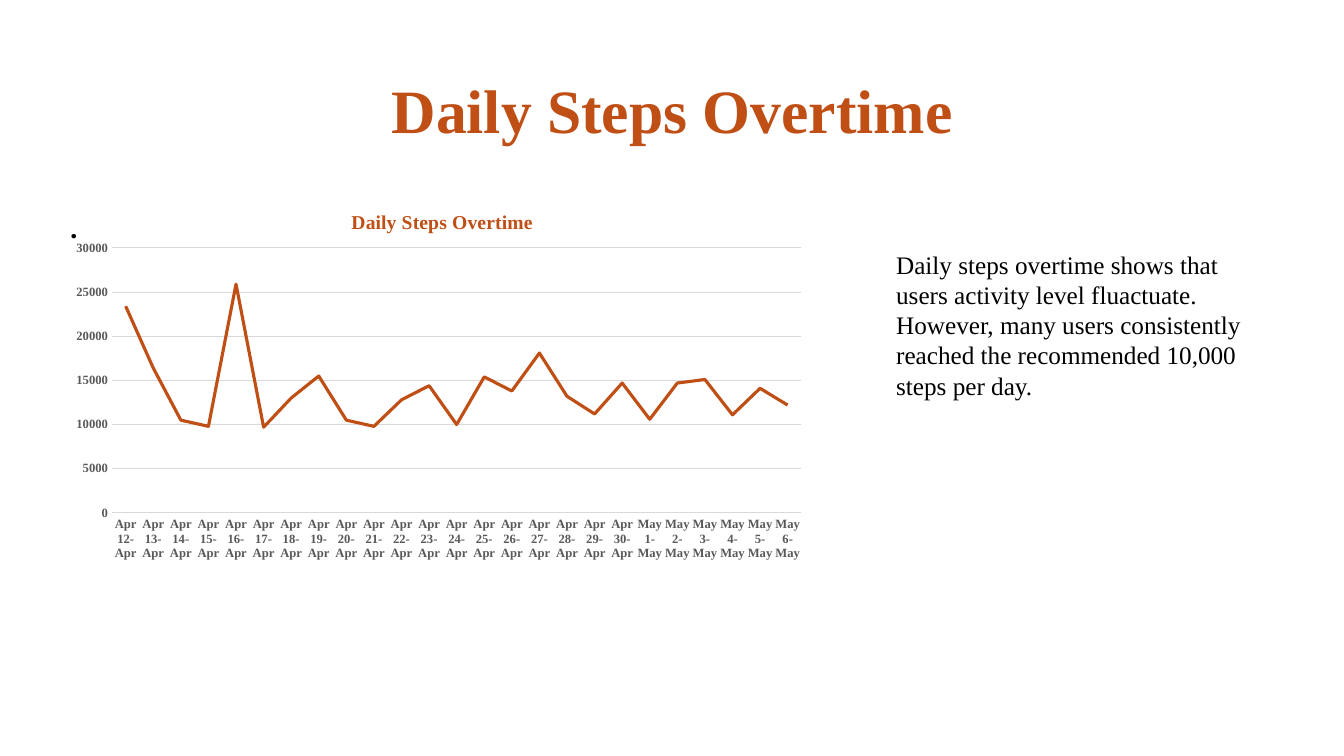
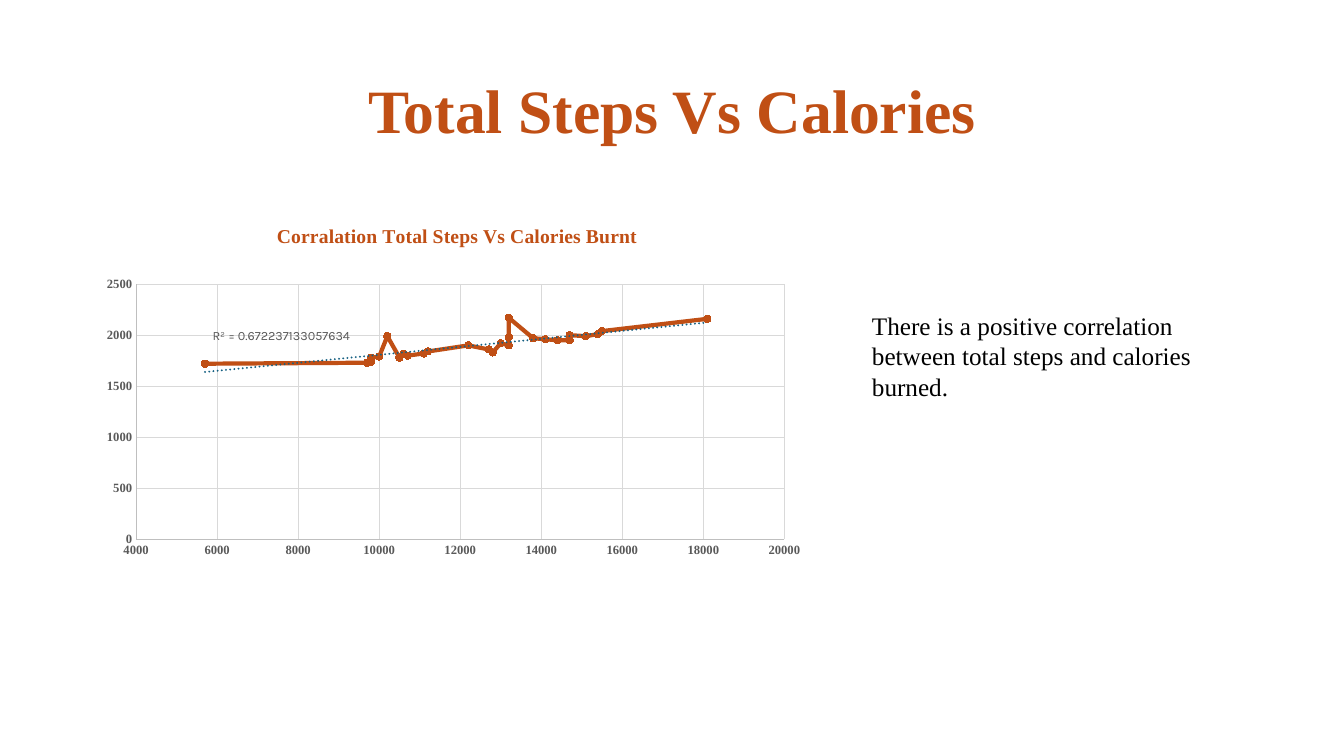
from lxml import etree
from pptx import Presentation
from pptx.chart.data import CategoryChartData, XyChartData
from pptx.dml.color import RGBColor
from pptx.enum.chart import XL_CHART_TYPE as ChartType
from pptx.enum.chart import XL_MARKER_STYLE as Marker
from pptx.enum.chart import XL_TICK_MARK as TickMark
from pptx.enum.text import MSO_ANCHOR as Anchor
from pptx.enum.text import PP_ALIGN as Align
from pptx.oxml import parse_xml
from pptx.oxml.ns import qn
from pptx.util import Inches, Pt

COLORS = {
    "accent": "C04F15",
    "trend": "156082",
    "text": "000000",
    "label": "595959",
    "grid": "D9D9D9",
    "axis": "BFBFBF",
    "paper": "FFFFFF",
}
SERIF = "Times New Roman"
SANS = "Karla"
TITLE_BOX = (0.92, 0.4, 11.5, 1.45)

DAYS = [f"Apr {day}-Apr" for day in range(12, 31)] + [f"May {day}-May" for day in range(1, 7)]
DAILY_STEPS = [
    23400, 16400, 10500, 9800, 25900, 9700, 13000, 15500, 10500, 9800, 12800, 14400, 10000,
    15400, 13800, 18100, 13200, 11200, 14700, 10600, 14700, 15100, 11100, 14100, 12200,
]
TOTAL_STEPS = [
    5700, 9700, 9800, 9800, 10000, 10200, 10500, 10500, 10600, 10700, 11100, 11200, 12200, 12700,
    12800, 13000, 13200, 13200, 13200, 13800, 14100, 14400, 14700, 14700, 15100, 15400, 15500, 18100,
]
CALORIES = [
    1720, 1730, 1740, 1780, 1790, 1990, 1780, 1790, 1820, 1800, 1820, 1840, 1900, 1860,
    1830, 1920, 1900, 1980, 2170, 1970, 1960, 1950, 1950, 2000, 1990, 2010, 2040, 2160,
]

CHART_NS = (
    'xmlns:c="http://schemas.openxmlformats.org/drawingml/2006/chart" '
    'xmlns:a="http://schemas.openxmlformats.org/drawingml/2006/main"'
)


def color(name):
    return RGBColor.from_string(COLORS[name])


def style_font(font, size, tone, bold=False, face=SERIF):
    font.name = face
    font.size = Pt(size)
    font.bold = bold
    font.color.rgb = color(tone)


def add_text(page, box, text, size, tone="text", bold=False, face=SERIF,
             align=Align.LEFT, anchor=Anchor.TOP, spacing=1.0, before=0):
    frame = page.shapes.add_textbox(*map(Inches, box)).text_frame
    frame.word_wrap = True
    frame.vertical_anchor = anchor
    para = frame.paragraphs[0]
    para.alignment = align
    para.line_spacing = spacing
    para.space_before = Pt(before)
    span = para.add_run()
    span.text = text
    style_font(span.font, size, tone, bold, face)


def add_page(deck, title):
    page = deck.slides.add_slide(deck.slide_layouts[6])
    page.background.fill.solid()
    page.background.fill.fore_color.rgb = color("paper")
    add_text(page, TITLE_BOX, title, 44, "accent", True,
             align=Align.CENTER, anchor=Anchor.MIDDLE, spacing=0.9)
    return page


def set_layout(parent, after, target, **places):
    for old in parent.findall(qn("c:layout")):
        parent.remove(old)
    layout = etree.Element(qn("c:layout"))
    manual = etree.SubElement(layout, qn("c:manualLayout"))
    if target:
        etree.SubElement(manual, qn("c:layoutTarget")).set("val", target)
    for key in ("x", "y"):
        etree.SubElement(manual, qn(f"c:{key}Mode")).set("val", "edge")
    for key, value in places.items():
        etree.SubElement(manual, qn(f"c:{key}")).set("val", f"{value:.4f}")
    anchor = parent.find(qn(after)) if after else None
    if anchor is None:
        parent.insert(0, layout)
    else:
        anchor.addnext(layout)


def style_axis(axis, low, high, step, line, grid=True):
    if high:
        axis.minimum_scale, axis.maximum_scale, axis.major_unit = low, high, step
    axis.major_tick_mark = axis.minor_tick_mark = TickMark.NONE
    style_font(axis.tick_labels.font, 9, "label", True)
    axis.has_major_gridlines = grid
    if grid:
        grid_line = axis.major_gridlines.format.line
        grid_line.color.rgb = color("grid")
        grid_line.width = Pt(0.75)
    if line:
        axis.format.line.color.rgb = color(line)
        axis.format.line.width = Pt(0.75)
    else:
        axis.format.line.fill.background()


def add_chart(page, kind, box, data, title, title_at, plot, line_width):
    left, top, width, height = box
    chart = page.shapes.add_chart(kind, *map(Inches, box), data).chart
    chart.has_legend = False
    style_font(chart.font, 10, "text")
    chart.has_title = True
    span = chart.chart_title.text_frame.paragraphs[0].add_run()
    span.text = title
    style_font(span.font, 14, "accent", True)
    chart.chart_title.include_in_layout = False
    title_x, title_y = title_at
    set_layout(chart.chart_title._element, "c:tx", None,
               x=(title_x - left) / width, y=(title_y - top) / height)
    plot_left, plot_top, plot_width, plot_height = plot
    set_layout(chart._chartSpace.chart.plotArea, None, "inner",
               x=(plot_left - left) / width, y=(plot_top - top) / height,
               w=plot_width / width, h=plot_height / height)
    series = chart.plots[0].series[0]
    series.smooth = False
    series.format.line.color.rgb = color("accent")
    series.format.line.width = Pt(line_width)
    series.marker.style = Marker.NONE
    chart.plots[0].vary_by_categories = False
    return chart


def add_trend_line(series):
    trend = parse_xml(f"""
        <c:trendline {CHART_NS}>
          <c:spPr><a:ln w="19050" cap="rnd">
            <a:solidFill><a:srgbClr val="{COLORS['trend']}"/></a:solidFill>
            <a:prstDash val="sysDot"/>
          </a:ln></c:spPr>
          <c:trendlineType val="linear"/>
          <c:dispRSqr val="0"/><c:dispEq val="0"/>
        </c:trendline>""")
    series._element.find(qn("c:xVal")).addprevious(trend)


def build_daily_steps(deck):
    page = add_page(deck, "Daily Steps Overtime")
    add_text(page, (0.6, 1.98, 11.5, 4.76), ".", 28, face=SANS, spacing=0.9, before=10)
    data = CategoryChartData()
    data.categories = DAYS
    data.add_series("Series 1", DAILY_STEPS)
    chart = add_chart(page, ChartType.LINE, (0.6, 1.85, 7.49, 3.8), data,
                      "Daily Steps Overtime", (3.45, 2.04), (1.11, 2.46, 6.84, 2.63), 2.25)
    style_axis(chart.category_axis, None, None, None, "grid", grid=False)
    style_axis(chart.value_axis, 0, 30000, 5000, None)
    add_text(page, (8.79, 2.42, 3.63, 1.62),
             "Daily steps overtime shows that users activity level fluactuate. "
             "However, many users consistently reached the recommended 10,000 steps per day.", 18)


def build_calories(deck):
    page = add_page(deck, "Total Steps Vs Calories")
    data = XyChartData()
    points = data.add_series("Series 1")
    for steps, burned in zip(TOTAL_STEPS, CALORIES):
        points.add_data_point(steps, burned)
    chart = add_chart(page, ChartType.XY_SCATTER_LINES, (0.92, 2, 7.16, 3.62), data,
                      "Corralation Total Steps Vs Calories Burnt", (2.71, 2.18),
                      (1.35, 2.82, 6.43, 2.53), 3)
    style_axis(chart.category_axis, 4000, 20000, 2000, "axis")
    style_axis(chart.value_axis, 0, 2500, 500, "axis")
    series = chart.plots[0].series[0]
    marker = series.marker
    marker.style, marker.size = Marker.CIRCLE, 5
    marker.format.fill.solid()
    marker.format.fill.fore_color.rgb = color("accent")
    marker.format.line.color.rgb = color("accent")
    add_trend_line(series)
    add_text(page, (2.01, 3.2, 1.8, 0.25), "R² = 0.672237133057634", 9, "label", face=SANS)
    add_text(page, (8.55, 3.03, 3.87, 1.01),
             "There is a positive correlation between total steps and calories burned.", 18)


def main():
    deck = Presentation()
    deck.slide_width, deck.slide_height = Inches(13.33), Inches(7.5)
    build_daily_steps(deck)
    build_calories(deck)
    deck.save("out.pptx")


if __name__ == "__main__":
    main()
